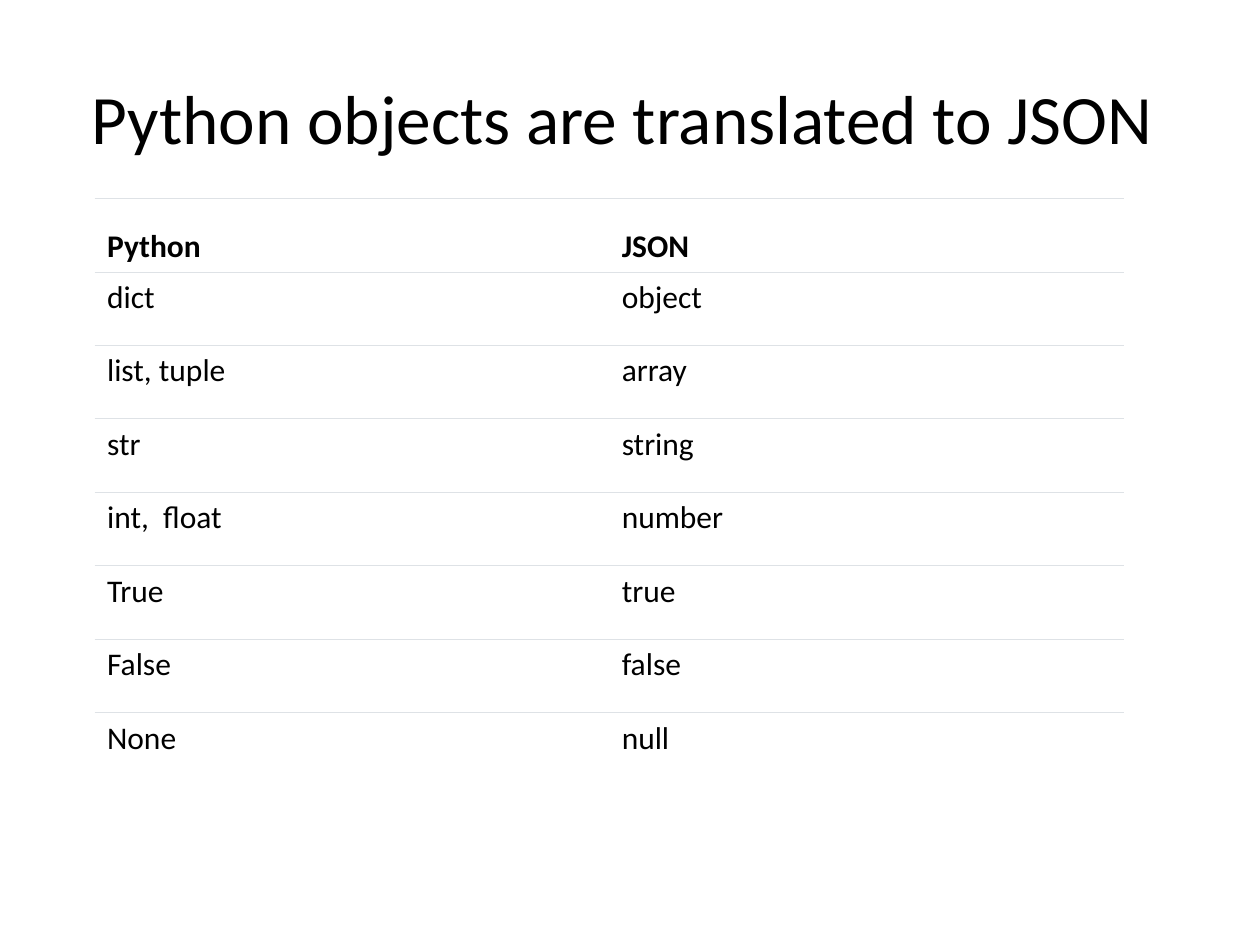
"""Build a slide with a table of Python types and their JSON counterparts."""
from dataclasses import dataclass

from lxml.etree import SubElement
from pptx import Presentation
from pptx.dml.color import RGBColor as RGB
from pptx.enum.text import MSO_ANCHOR as Anchor, MSO_AUTO_SIZE as AutoSize, PP_ALIGN as Align
from pptx.oxml.ns import qn
from pptx.util import Inches, Pt


@dataclass(frozen=True)
class Theme:
    font: str = "Calibri"
    text: str = "000000"
    paper: str = "FFFFFF"
    rule: str = "DEE2E6"
    title_size: float = 39.6
    cell_size: float = 18
    rule_width: float = 0.6


@dataclass(frozen=True)
class Mapping:
    python: str
    json: str


@dataclass(frozen=True)
class Box:
    left: float
    top: float
    width: float
    height: float

    def place(self, prs) -> tuple[int, ...]:
        w, h = prs.slide_width, prs.slide_height
        return int(self.left * w), int(self.top * h), int(self.width * w), int(self.height * h)


THEME = Theme()
TITLE = "Python objects are translated to JSON "
TITLE_BOX = Box(0.05, 0.04, 0.9, 1 / 6)
TABLE_BOX = Box(0.075, 0.21, 0.817, 0.622)
HEADER = Mapping("Python", "JSON")
ROWS = [
    Mapping("dict", "object"),
    Mapping("list, tuple", "array"),
    Mapping("str", "string"),
    Mapping("int,  float", "number"),
    Mapping("True", "true"),
    Mapping("False", "false"),
    Mapping("None", "null"),
]


def write(tf, text: str, *, size: float, bold: bool = False, align: Align = Align.LEFT) -> None:
    p = tf.paragraphs[0]
    p.alignment = align
    r = p.add_run()
    r.text = text
    r.font.name, r.font.size, r.font.bold = THEME.font, Pt(size), bold
    r.font.color.rgb = RGB.from_string(THEME.text)


def set_borders(cell, ruled: str) -> None:
    tc_pr = cell._tc.get_or_add_tcPr()
    for i, side in enumerate("LRTB"):
        ln = tc_pr.makeelement(qn(f"a:ln{side}"), {"w": str(int(Pt(THEME.rule_width)))})
        tc_pr.insert(i, ln)
        if side in ruled:
            fill = SubElement(ln, qn("a:solidFill"))
            SubElement(fill, qn("a:srgbClr"), val=THEME.rule)
        else:
            SubElement(ln, qn("a:noFill"))


def add_title(prs, s) -> None:
    sp = s.shapes.title
    sp.left, sp.top, sp.width, sp.height = TITLE_BOX.place(prs)
    tf = sp.text_frame
    tf.auto_size, tf.vertical_anchor = AutoSize.NONE, Anchor.MIDDLE
    write(tf, TITLE, size=THEME.title_size, align=Align.CENTER)


def add_mapping_table(prs, s, header: Mapping, rows: list[Mapping]) -> None:
    lines = [header, *rows]
    table = s.shapes.add_table(len(lines), 2, *TABLE_BOX.place(prs)).table
    table.first_row = table.horz_banding = False
    for i, line in enumerate(lines):
        is_header = line is header
        for j, text in enumerate((line.python, line.json)):
            cell = table.cell(i, j)
            cell.fill.solid()
            cell.fill.fore_color.rgb = RGB.from_string(THEME.paper)
            cell.vertical_anchor = Anchor.BOTTOM if is_header else Anchor.TOP
            write(cell.text_frame, text, size=THEME.cell_size, bold=is_header)
            set_borders(cell, "T" if line is lines[-1] else "TB")


def main() -> None:
    prs = Presentation()
    prs.slide_width, prs.slide_height = Inches(10), Inches(7.5)
    s = prs.slides.add_slide(prs.slide_layouts[5])
    add_title(prs, s)
    add_mapping_table(prs, s, HEADER, ROWS)
    prs.save("out.pptx")


if __name__ == "__main__":
    main()
